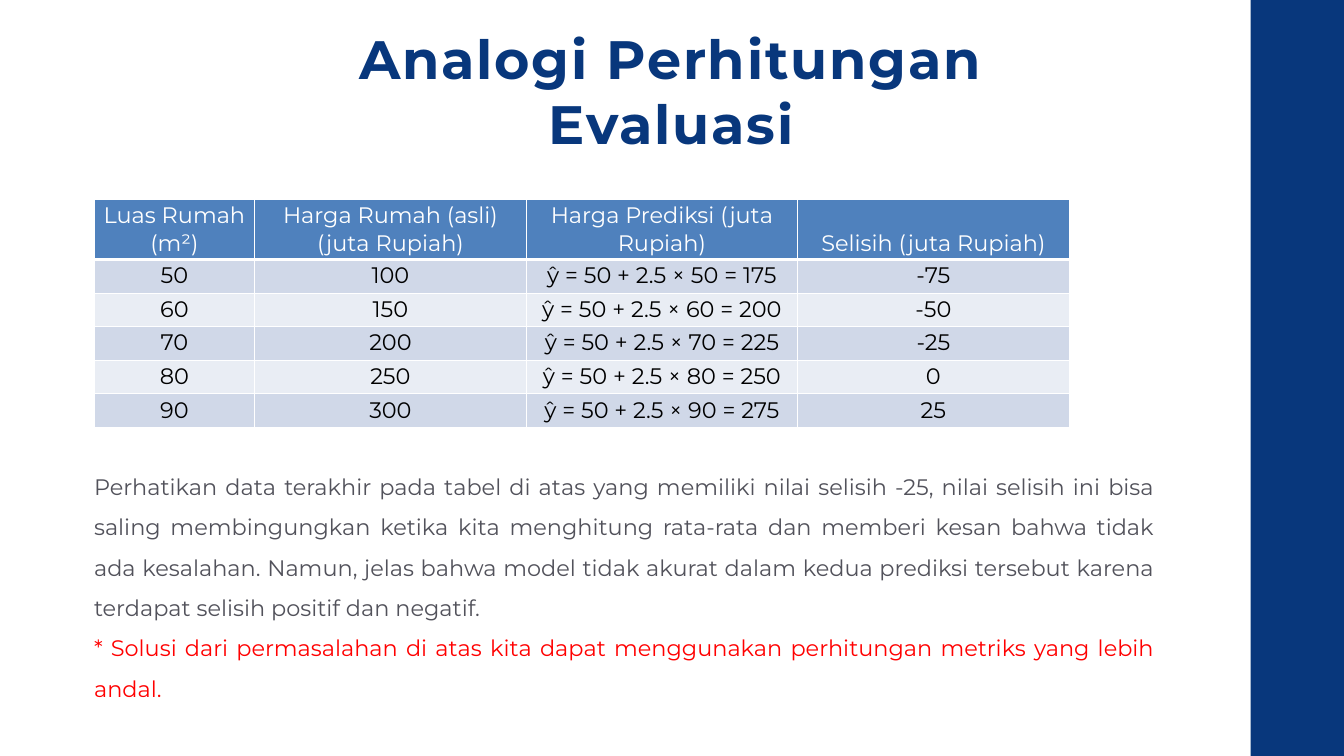
from dataclasses import dataclass
from typing import NamedTuple

from lxml.etree import SubElement
from pptx import Presentation
from pptx.dml.color import RGBColor
from pptx.enum.shapes import MSO_SHAPE as Preset
from pptx.enum.text import MSO_ANCHOR as Anchor, PP_ALIGN as Align
from pptx.oxml import parse_xml
from pptx.oxml.ns import nsdecls, qn
from pptx.util import Emu, Pt

EMU_PER_PX = 9144
FONT = "Montserrat"
COLORS = {
    "navy": "08377C",
    "header": "4F81BD",
    "band_dark": "D0D8E8",
    "band_light": "E9EDF4",
    "white": "FFFFFF",
    "black": "000000",
    "gray": "52525B",
    "red": "FF0000",
}


class Box(NamedTuple):
    left: int
    top: int
    width: int
    height: int


@dataclass
class TextStyle:
    size: float
    color: str
    align: Align
    bold: bool = False
    line_spacing: object = None
    tracking: int = 0


@dataclass
class TextBlock:
    box: Box
    paragraphs: list[tuple[str, TextStyle]]
    top_inset: int = 0


def px(value: int) -> Emu:
    return Emu(value * EMU_PER_PX)


def rgb(name: str) -> RGBColor:
    return RGBColor.from_string(COLORS[name])


def set_all(target: object, values: dict) -> None:
    for name, value in values.items():
        setattr(target, name, value)


def write(paragraph, text: str, style: TextStyle) -> None:
    set_all(paragraph, {"alignment": style.align, "line_spacing": style.line_spacing})
    run = paragraph.add_run()
    run.text = text
    set_all(run.font, {"name": FONT, "size": Pt(style.size), "bold": style.bold})
    run.font.color.rgb = rgb(style.color)
    if style.tracking:
        run.font._element.set("spc", str(style.tracking))


def draw_text(slide, block: TextBlock) -> None:
    frame = slide.shapes.add_textbox(*map(px, block.box)).text_frame
    set_all(frame, {
        "word_wrap": True,
        "margin_left": 0,
        "margin_right": 0,
        "margin_top": px(block.top_inset),
        "margin_bottom": 0,
    })
    for index, (text, style) in enumerate(block.paragraphs):
        paragraph = frame.add_paragraph() if index else frame.paragraphs[0]
        write(paragraph, text, style)


def draw_bar(slide, box: Box, color: str) -> None:
    shape = slide.shapes.add_shape(Preset.RECTANGLE, *map(px, box))
    shape.shadow.inherit = False
    shape.fill.solid()
    shape.fill.fore_color.rgb = rgb(color)
    shape.line.fill.background()


def set_borders(cell, points: dict[str, int]) -> None:
    properties = cell._tc.get_or_add_tcPr()
    for index, (side, width) in enumerate(points.items()):
        line = parse_xml(f'<a:ln{side} {nsdecls("a")} w="{Pt(width)}"/>')
        fill = SubElement(line, qn("a:solidFill"))
        SubElement(fill, qn("a:srgbClr")).set("val", COLORS["white"])
        properties.insert(index, line)


def draw_table(slide, box: Box, widths: list[int], heights: list[int],
               rows: list[list[str]]) -> None:
    table = slide.shapes.add_table(len(rows), len(widths), *map(px, box)).table
    set_all(table, {"first_row": False, "horz_banding": False})
    for column, width in zip(table.columns, widths):
        column.width = px(width)
    for row, height in zip(table.rows, heights):
        row.height = px(height)
    for row_index, row in enumerate(rows):
        is_header = row_index == 0
        band = "band_dark" if row_index % 2 else "band_light"
        style = TextStyle(24, "white" if is_header else "black", Align.CENTER)
        for column_index, text in enumerate(row):
            cell = table.cell(row_index, column_index)
            set_all(cell, {
                "vertical_anchor": Anchor.BOTTOM if is_header else Anchor.TOP,
                "margin_top": px(4),
                "margin_bottom": px(4),
            })
            cell.fill.solid()
            cell.fill.fore_color.rgb = rgb("header" if is_header else band)
            set_borders(cell, {
                "L": 1,
                "R": 1,
                "T": 3 if row_index == 1 else 1,
                "B": 3 if is_header else 1,
            })
            write(cell.text_frame.paragraphs[0], text, style)


def price_row(area: int, price: int) -> list[str]:
    prediction = round(50 + 2.5 * area)
    formula = f"ŷ = 50 + 2.5 × {area} = {prediction}"
    return [str(area), str(price), formula, str(price - prediction)]


TITLE_STYLE = TextStyle(57.9, "navy", Align.CENTER, True, Pt(69.5), 190)
BODY_STYLE = TextStyle(24, "gray", Align.JUSTIFY, line_spacing=1.5)
NOTE_STYLE = TextStyle(24, "red", Align.JUSTIFY, line_spacing=1.5)

TITLE = TextBlock(Box(453, 38, 1092, 188), [("Analogi Perhitungan Evaluasi", TITLE_STYLE)])
EXPLANATION = TextBlock(Box(140, 683, 1577, 425), [
    ("Perhatikan data terakhir pada tabel di atas yang memiliki nilai selisih -25, "
     "nilai selisih ini bisa saling membingungkan ketika kita menghitung rata-rata "
     "dan memberi kesan bahwa tidak ada kesalahan. Namun, jelas bahwa model tidak "
     "akurat dalam kedua prediksi tersebut karena terdapat selisih positif dan negatif.",
     BODY_STYLE),
    ("* Solusi dari permasalahan di atas kita dapat menggunakan perhitungan metriks "
     "yang lebih andal.", NOTE_STYLE),
], top_inset=1)

HEADINGS = [
    "Luas Rumah (m²)",
    "Harga Rumah (asli) (juta Rupiah)",
    "Harga Prediksi (juta Rupiah)",
    "Selisih (juta Rupiah)",
]
HOUSES = [(50, 100), (60, 150), (70, 200), (80, 250), (90, 300)]


def main() -> None:
    presentation = Presentation()
    set_all(presentation, {"slide_width": px(2000), "slide_height": px(1125)})
    slide = presentation.slides.add_slide(presentation.slide_layouts[6])
    draw_bar(slide, Box(1861, 0, 139, 1125), "navy")
    draw_text(slide, TITLE)
    rows = [HEADINGS] + [price_row(area, price) for area, price in HOUSES]
    draw_table(slide, Box(140, 296, 1451, 340), [239] + [404] * 3,
               [90] + [50] * len(HOUSES), rows)
    draw_text(slide, EXPLANATION)
    presentation.save("out.pptx")


if __name__ == "__main__":
    main()
